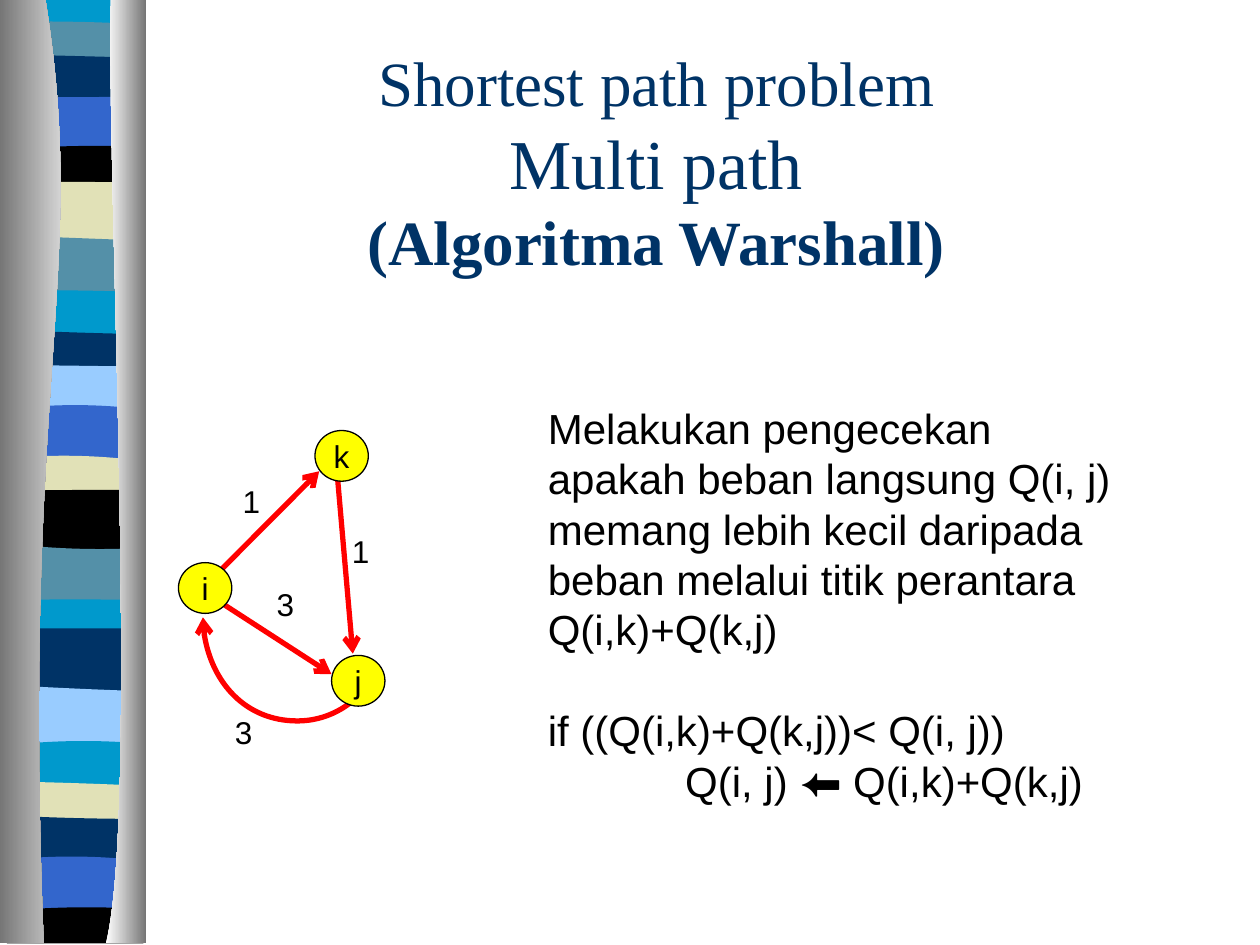
from lxml import etree
from pptx import Presentation
from pptx.dml.color import RGBColor
from pptx.enum import shapes, text
from pptx.oxml import ns
from pptx.util import Pt

NAVY = RGBColor(0x00, 0x33, 0x66)
CYAN = RGBColor(0x00, 0x99, 0xCC)
TEAL = RGBColor(0x54, 0x90, 0xA8)
BLUE = RGBColor(0x33, 0x66, 0xCC)
SKY = RGBColor(0x99, 0xCC, 0xFF)
SAND = RGBColor(0xE1, 0xE1, 0xB7)
BLACK = RGBColor(0, 0, 0)
WHITE = RGBColor(255, 255, 255)
GRAY = RGBColor(0x76, 0x76, 0x76)
RED = RGBColor(255, 0, 0)
YELLOW = RGBColor(255, 255, 0)

BAND_LEFT, BAND_RIGHT, RIBBON_BOTTOM = 4, 82, 539
BAND_OVERLAP = 7
# Colour and height of the top edge at its left, middle and right
BANDS = [
    (CYAN, 0, 0, 0), (TEAL, 12.5, 12.5, 14), (NAVY, 31, 32, 33),
    (BLUE, 56, 55.5, 55.5), (BLACK, 85.5, 83.5, 84), (SAND, 103.5, 104, 104),
    (TEAL, 134.5, 136, 137.5), (CYAN, 166, 166, 167), (NAVY, 188.5, 190, 191),
    (SKY, 208.5, 209, 209.5), (BLUE, 234, 231.5, 234), (SAND, 262, 260.5, 263.5),
    (BLACK, 280.5, 280, 280), (TEAL, 310.5, 313.5, 313), (CYAN, 343, 342.5, 343),
    (NAVY, 359, 359, 359), (SKY, 391.5, 393.5, 395), (CYAN, 426, 423.5, 425),
    (SAND, 446.5, 447.5, 449), (NAVY, 466, 467.5, 468), (BLUE, 491.5, 489.5, 492),
    (BLACK, 520.5, 518.5, 519.5),
]

NODE_W, NODE_H = 30.5, 29
NODES = [("i", 102, 321.5), ("k", 180, 246), ("j", 189.5, 374.5)]
EDGES = [((191.5, 257), (201.6, 373.5)), ((118, 339), (189.4, 385.2)),
         ((118, 334), (182.4, 269.3))]
WEIGHTS = [("1", 131.6, 272), ("1", 194, 300.5), ("3", 151, 330.5), ("3", 127.2, 404)]


def add_outline(slide, start, segments, close=True):
    """Add a freeform; a segment is one point (line) or three (curve)."""
    builder = slide.shapes.build_freeform(Pt(start[0]), Pt(start[1]), scale=1.0)
    builder.add_line_segments(
        [(Pt(x), Pt(y)) for segment in segments for x, y in segment], close=close)
    outline = builder.convert_to_shape()
    steps = iter(list(outline._element.iter(ns.qn("a:lnTo"))))
    for segment in segments:
        parts = [next(steps) for _ in segment]
        if len(parts) == 3:
            curve = etree.Element(ns.qn("a:cubicBezTo"))
            parts[0].addprevious(curve)
            for part in parts:
                curve.append(part[0])
                part.getparent().remove(part)
    outline.shadow.inherit = False
    outline.line.fill.background()
    return outline


def add_band(slide, color, left, middle, right, bottom):
    """Add a ribbon band with a wavy top edge."""
    third = (BAND_RIGHT - BAND_LEFT) / 3
    bulge = 4 / 3 * (middle - (left + right) / 2)
    slope = (right - left) / 3
    top_edge = ((BAND_LEFT + third, left + slope + bulge),
                (BAND_RIGHT - third, right - slope + bulge), (BAND_RIGHT, right))
    band = add_outline(slide, (BAND_LEFT, left),
                       [top_edge, ((BAND_RIGHT, bottom),), ((BAND_LEFT, bottom),)])
    band.fill.solid()
    band.fill.fore_color.rgb = color


def add_ribbon(slide):
    """Add the coloured bands, each tucked under the next."""
    bottoms = [max(heights) + BAND_OVERLAP for _, *heights in BANDS[1:]] + [RIBBON_BOTTOM]
    for band, bottom in zip(BANDS, bottoms):
        add_band(slide, *band, bottom)


def add_curtain(slide, start, curve, outer_x, colors):
    """Add a gradient panel between a curve and a straight outer side."""
    curtain = add_outline(slide, start,
                          [curve, ((outer_x, RIBBON_BOTTOM),), ((outer_x, 0),)])
    curtain.fill.gradient()
    curtain.fill.gradient_angle = 0
    for stop, color in zip(curtain.fill.gradient_stops, colors):
        stop.color.rgb = color


def style_edge(edge, end):
    """Give a graph edge its red line and an arrowhead at one end."""
    edge.line.color.rgb = RED
    edge.line.width = Pt(3)
    properties = edge._element.spPr
    line = properties.find(ns.qn("a:ln"))
    etree.SubElement(line, ns.qn(f"a:{end}End"), type="arrow")
    if properties.find(ns.qn("a:effectLst")) is None:
        etree.SubElement(properties, ns.qn("a:effectLst"))


def style_paragraph(paragraph, size, color=BLACK, font="Arial"):
    """Set the font shared by all runs of a paragraph."""
    paragraph.font.name = font
    paragraph.font.size = Pt(size)
    paragraph.font.color.rgb = color


def add_textbox(slide, left, top, width, height, wrap=True):
    """Add a text box and return its frame."""
    frame = slide.shapes.add_textbox(Pt(left), Pt(top), Pt(width), Pt(height)).text_frame
    frame.word_wrap = wrap
    return frame


def add_node(slide, label, left, top):
    """Add a graph node."""
    node = slide.shapes.add_shape(shapes.MSO_SHAPE.OVAL, Pt(left), Pt(top),
                                  Pt(NODE_W), Pt(NODE_H))
    node.shadow.inherit = False
    node.fill.solid()
    node.fill.fore_color.rgb = YELLOW
    node.line.color.rgb = BLACK
    node.line.width = Pt(0.75)
    frame = node.text_frame
    frame.word_wrap = False
    frame.vertical_anchor = text.MSO_ANCHOR.MIDDLE
    frame.text = label
    frame.paragraphs[0].alignment = text.PP_ALIGN.CENTER
    style_paragraph(frame.paragraphs[0], 18)


def add_graph(slide):
    """Add the edges, nodes and weights of the graph."""
    back_edge = add_outline(slide, (116, 352.8),
                            [((116, 385), (140.5, 412), (170, 412)),
                             ((183, 412), (195, 407), (204.5, 398))], close=False)
    back_edge.fill.background()
    style_edge(back_edge, "head")
    for start, end in EDGES:
        edge = slide.shapes.add_connector(shapes.MSO_CONNECTOR.STRAIGHT,
                                          *map(Pt, start + end))
        style_edge(edge, "tail")
    for node in NODES:
        add_node(slide, *node)
    for weight, left, top in WEIGHTS:
        frame = add_textbox(slide, left, top, 24.5, 29, wrap=False)
        frame.text = weight
        style_paragraph(frame.paragraphs[0], 18)


def add_title(slide):
    """Add the three-line title."""
    frame = add_textbox(slide, 78, 18, 594, 148)
    frame.vertical_anchor = text.MSO_ANCHOR.MIDDLE
    title = frame.paragraphs[0]
    title.alignment = text.PP_ALIGN.CENTER
    style_paragraph(title, 36, NAVY, "Times New Roman")
    topic = title.add_run()
    topic.text = "Shortest path problem"
    title.add_line_break()
    variant = title.add_run()
    variant.text = "Multi path"
    variant.font.size = Pt(40)
    title.add_line_break()
    algorithm = title.add_run()
    algorithm.text = "(Algoritma Warshall)"
    algorithm.font.bold = True


def add_explanation(slide):
    """Add the description and the update rule."""
    frame = add_textbox(slide, 306, 226.4, 338.5, 237.5)
    frame.text = ("Melakukan pengecekan apakah beban langsung Q(i, j) memang lebih kecil "
                  "daripada beban melalui titik perantara Q(i,k)+Q(k,j)\n"
                  "if ((Q(i,k)+Q(k,j))< Q(i, j))\n"
                  "Q(i, j) \u2b05 Q(i,k)+Q(k,j)")
    for paragraph in frame.paragraphs:
        style_paragraph(paragraph, 24)
    _, condition, assignment = frame.paragraphs
    condition.space_before = Pt(28.8)
    assignment._p.get_or_add_pPr().set("marL", str(Pt(78.5)))


def main():
    """Build and save the slide."""
    deck = Presentation()
    deck.slide_width, deck.slide_height = Pt(720), Pt(540)
    slide = deck.slides.add_slide(deck.slide_layouts[6])
    add_ribbon(slide)
    add_curtain(slide, (26, 0), ((51, 156), (12, 213), (25, 539)), 0, (GRAY, WHITE))
    add_curtain(slide, (63.4, 0), ((60.5, 90), (80, 465), (60.5, 539)), 83.5, (WHITE, GRAY))
    add_title(slide)
    add_graph(slide)
    add_explanation(slide)
    deck.save("out.pptx")


main()
